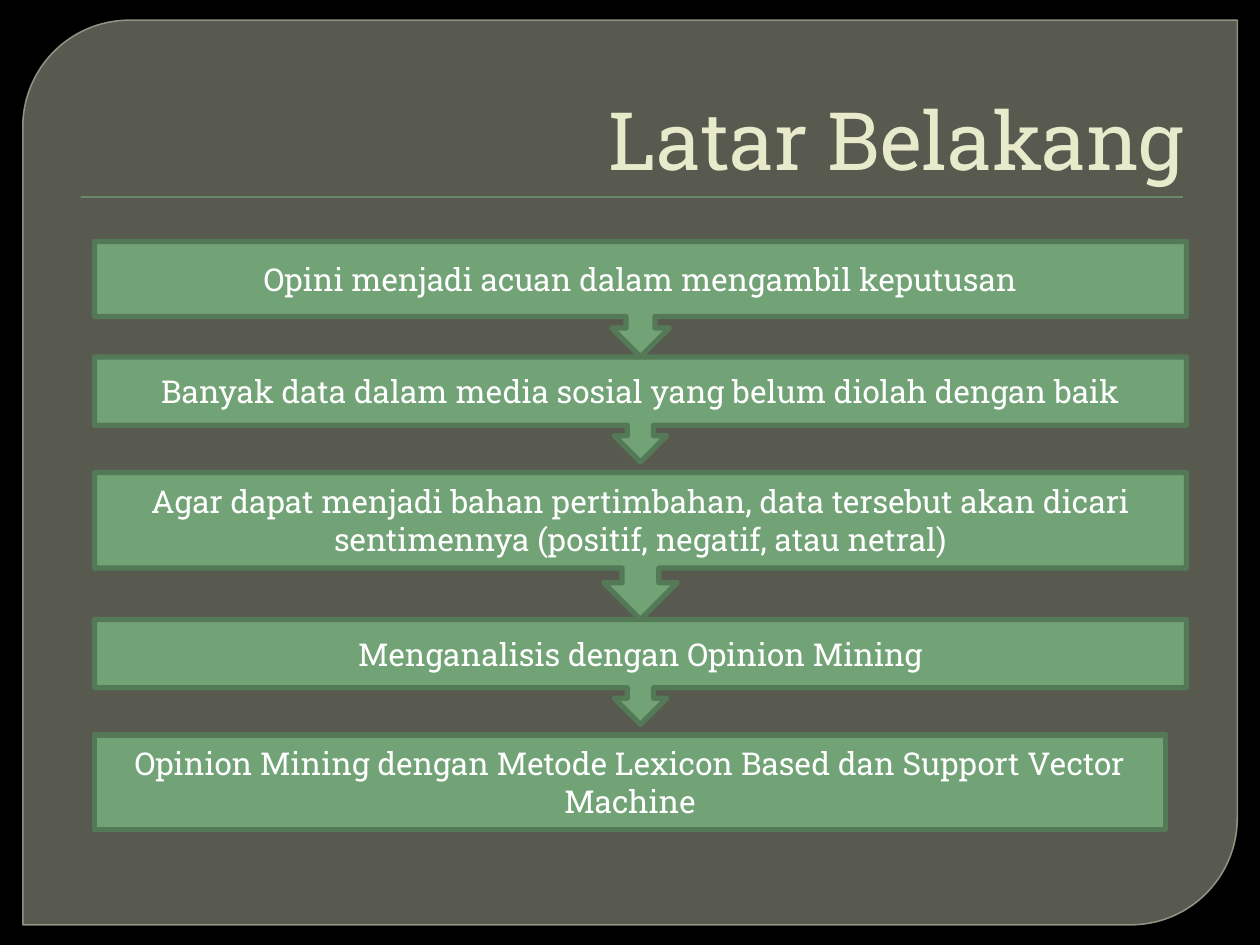
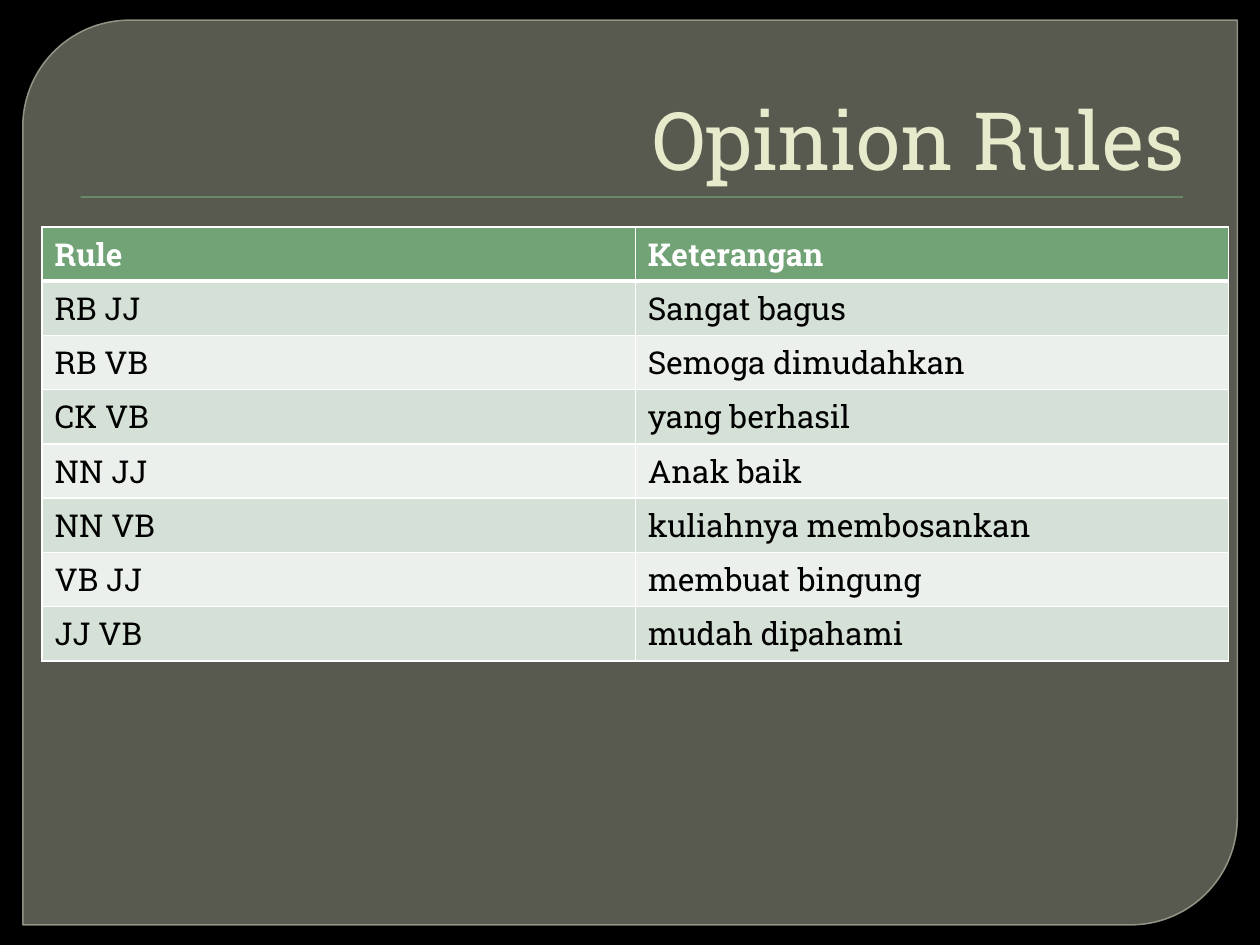
from lxml.etree import SubElement
from pptx import Presentation
from pptx.dml.color import RGBColor
from pptx.enum.shapes import MSO_SHAPE
from pptx.enum.text import MSO_ANCHOR, MSO_AUTO_SIZE, PP_ALIGN
from pptx.oxml.ns import qn
from pptx.util import Pt

FONT = "Roboto Slab"
BLACK, WHITE = "000000", "FFFFFF"
GREEN, DARK_GREEN = "72A376", "547957"
PANEL, PANEL_EDGE, TITLE = "888B7B", "9DA090", "E7EACB"
BANDS = ("EBF0EC", "D5E0D6")

STEPS = [
    (138, 66, "Opini menjadi acuan dalam mengambil keputusan"),
    (204, 60, "Banyak data dalam media sosial yang belum diolah dengan baik"),
    (270, 84, "Agar dapat menjadi bahan pertimbahan, data tersebut akan dicari "
              "sentimennya (positif, negatif, atau netral)"),
    (354, 60, "Menganalisis dengan Opinion Mining"),
]
CONCLUSION = "Opinion Mining dengan Metode Lexicon Based dan Support Vector Machine"

RULES = [
    ("Rule", "Keterangan"),
    ("RB JJ", "Sangat bagus"),
    ("RB VB", "Semoga dimudahkan"),
    ("CK VB", "yang berhasil"),
    ("NN JJ", "Anak baik"),
    ("NN VB", "kuliahnya membosankan"),
    ("VB JJ", "membuat bingung"),
    ("JJ VB", "mudah dipahami"),
]


def color(value):
    """Return the colour for a hex string."""
    return RGBColor.from_string(value)


def write(frame, text, size=18, fill=WHITE, bold=False,
          align=PP_ALIGN.LEFT, anchor=MSO_ANCHOR.TOP):
    """Put one formatted paragraph into a text frame."""
    frame.word_wrap = True
    frame.vertical_anchor = anchor
    paragraph = frame.paragraphs[0]
    paragraph.alignment = align
    run = paragraph.add_run()
    run.text = text
    run.font.name = FONT
    run.font.size = Pt(size)
    run.font.bold = bold
    run.font.color.rgb = color(fill)


def add_box(slide, kind, left, top, width, height, fill, line=None, weight=3):
    """Add a preset shape without shadow, with or without an outline."""
    shape = slide.shapes.add_shape(kind, Pt(left), Pt(top), Pt(width), Pt(height))
    shape.shadow.inherit = False
    shape.fill.solid()
    shape.fill.fore_color.rgb = color(fill)
    if line:
        shape.line.color.rgb = color(line)
        shape.line.width = Pt(weight)
    else:
        shape.line.fill.background()
    return shape


def set_opacity(shape, *percents):
    """Set the opacity of the fill and the outline, in that order."""
    for element, percent in zip(shape.element.spPr.iter(qn("a:srgbClr")), percents):
        SubElement(element, qn("a:alpha"), val=str(percent * 1000))


def add_shadow(shape):
    """Give a shape a small black shadow below it."""
    effects = shape.element.spPr.find(qn("a:effectLst"))
    distance = str(Pt(1))
    shadow = SubElement(effects, qn("a:outerShdw"), blurRad=distance,
                        dist=distance, dir="5400000")
    shade = SubElement(shadow, qn("a:srgbClr"), val=BLACK)
    SubElement(shade, qn("a:alpha"), val="75000")


def decorate_layout(layout, slide):
    """Draw the shared panel and title rule, then move them to the layout."""
    background = layout.background.fill
    background.solid()
    background.fore_color.rgb = color(BLACK)
    panel = add_box(slide, MSO_SHAPE.ROUND_2_DIAG_RECTANGLE,
                    13, 11.5, 694, 517, PANEL, PANEL_EDGE, 0.87)
    panel.adjustments[0] = 0.118
    set_opacity(panel, 65, 88)
    title_rule = add_box(slide, MSO_SHAPE.RECTANGLE, 46, 112.2, 630, 0.72, GREEN)
    add_shadow(title_rule)
    for index, shape in enumerate((panel, title_rule)):
        shape.element.nvSpPr.cNvPr.set("id", str(100 + index))
        layout.shapes.element.insert(2 + index, shape.element)


def add_titled_slide(presentation, layout, text):
    """Add a slide with its title set at the right."""
    slide = presentation.slides.add_slide(layout)
    title = slide.shapes.title
    title.left, title.top, title.width, title.height = Pt(36), Pt(20), Pt(648), Pt(90)
    write(title.text_frame, text, size=46, fill=TITLE,
          align=PP_ALIGN.RIGHT, anchor=MSO_ANCHOR.BOTTOM)
    title.text_frame.auto_size = MSO_AUTO_SIZE.NONE
    return slide


def add_step(slide, kind, top, width, height, text):
    """Add one step of the flow."""
    shape = add_box(slide, kind, 54, top, width, height, GREEN, DARK_GREEN)
    write(shape.text_frame, text, align=PP_ALIGN.CENTER, anchor=MSO_ANCHOR.MIDDLE)


def add_border(cell, side, weight):
    """Draw one white border of a cell."""
    line = SubElement(cell._tc.get_or_add_tcPr(), qn("a:" + side), w=str(Pt(weight)))
    fill = SubElement(line, qn("a:solidFill"))
    SubElement(fill, qn("a:srgbClr"), val=WHITE)


def add_rule_table(slide, rows, left, top, width, row_height):
    """Add a banded table with a header row."""
    table = slide.shapes.add_table(len(rows), len(rows[0]), Pt(left), Pt(top),
                                   Pt(width), Pt(row_height * len(rows))).table
    for row_index, texts in enumerate(rows):
        header = row_index == 0
        for column_index, text in enumerate(texts):
            cell = table.cell(row_index, column_index)
            add_border(cell, "lnL", 1)
            add_border(cell, "lnR", 1)
            add_border(cell, "lnT", 3 if row_index == 1 else 1)
            add_border(cell, "lnB", 3 if header else 1)
            cell.fill.solid()
            cell.fill.fore_color.rgb = color(GREEN if header else BANDS[row_index % 2])
            write(cell.text_frame, text, fill=WHITE if header else BLACK, bold=header)


def main():
    """Build both slides and save them."""
    presentation = Presentation()
    presentation.slide_width, presentation.slide_height = Pt(720), Pt(540)
    layout = presentation.slide_layouts[5]

    background_slide = add_titled_slide(presentation, layout, "Latar Belakang")
    decorate_layout(layout, background_slide)
    for top, height, text in STEPS:
        add_step(background_slide, MSO_SHAPE.DOWN_ARROW_CALLOUT, top, 624, height, text)
    add_step(background_slide, MSO_SHAPE.FLOWCHART_PROCESS, 420, 612, 54, CONCLUSION)

    rules_slide = add_titled_slide(presentation, layout, "Opinion Rules")
    add_rule_table(rules_slide, RULES, 24, 129.6, 678, 29.2)

    presentation.save("out.pptx")


main()
